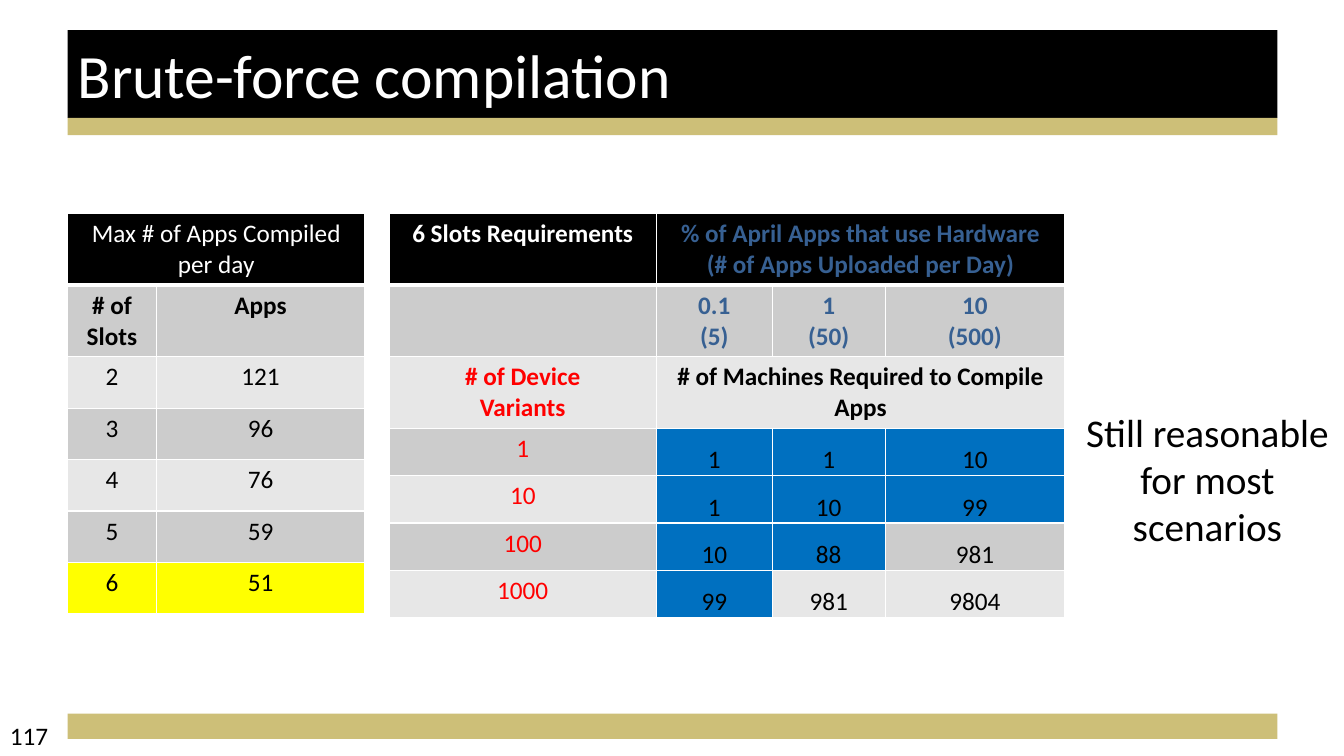
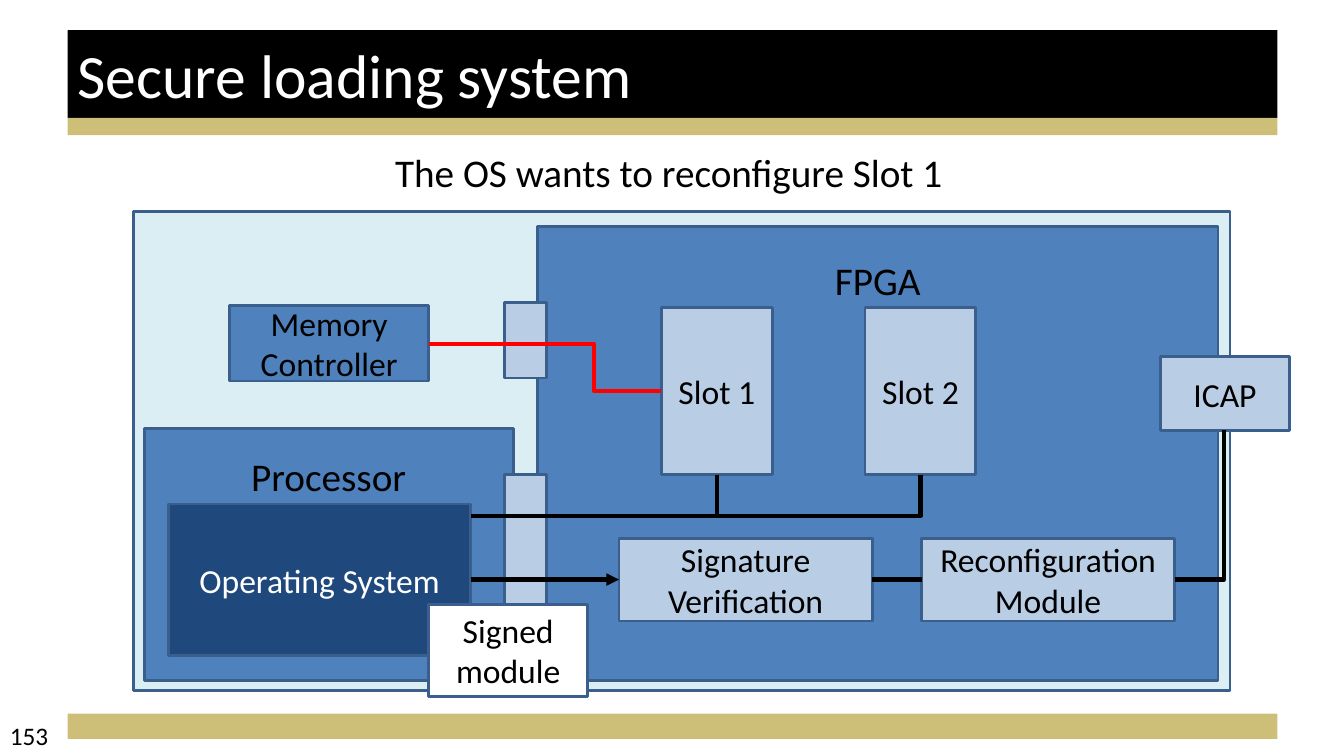
from lxml import etree
from pptx import Presentation
from pptx.dml.color import RGBColor
from pptx.enum import shapes as sh, text as tx
from pptx.oxml import ns
from pptx.util import Inches, Pt

# Shared look
FONT = "Calibri"
BLACK = RGBColor(0x00, 0x00, 0x00)
WHITE = RGBColor(0xFF, 0xFF, 0xFF)
GOLD = RGBColor(0xCD, 0xBF, 0x78)
GREY = RGBColor(0xCC, 0xCC, 0xCC)
PALE = RGBColor(0xE7, 0xE7, 0xE7)
RED = RGBColor(0xFF, 0x00, 0x00)
YELLOW = RGBColor(0xFF, 0xFF, 0x00)
INK = RGBColor(0x37, 0x60, 0x92)
CYAN = RGBColor(0x00, 0x70, 0xC0)
EDGE = RGBColor(0x3A, 0x5F, 0x8C)
ICE = RGBColor(0xDB, 0xEE, 0xF4)
BLUE = RGBColor(0x4F, 0x81, 0xBD)
LIGHT = RGBColor(0xB9, 0xCD, 0xE5)
NAVY = RGBColor(0x1F, 0x49, 0x7D)

LEFT, WIDE = 0.67, 12
MID, TOP, LOW = tx.MSO_ANCHOR.MIDDLE, tx.MSO_ANCHOR.TOP, tx.MSO_ANCHOR.BOTTOM
CENTER, START = tx.PP_ALIGN.CENTER, tx.PP_ALIGN.LEFT


def sub(node, tag, **attrs):
    return etree.SubElement(node, ns.qn(tag), **attrs)


def write(frame, words, size=18, color=BLACK, bold=False, align=CENTER):
    """Fill a text frame, one paragraph per line."""
    for i, line in enumerate(words.split("\n")):
        para = frame.paragraphs[0] if i == 0 else frame.add_paragraph()
        para.alignment = align
        run = para.add_run()
        run.text = line
        font = run.font
        font.name, font.size, font.bold = FONT, Pt(size), bold
        font.color.rgb = color


def box(slide, area, fill, words="", edge=EDGE, anchor=MID, inset=0.05, **style):
    """Draw a rectangle with an optional label."""
    item = slide.shapes.add_shape(sh.MSO_SHAPE.RECTANGLE, *map(Inches, area))
    item.shadow.inherit = False
    item.fill.solid()
    item.fill.fore_color.rgb = fill
    if edge is None:
        item.line.fill.background()
    else:
        item.line.color.rgb = edge
        item.line.width = Pt(2)
    if words:
        frame = item.text_frame
        frame.word_wrap = True
        frame.vertical_anchor = anchor
        frame.margin_top = Inches(inset)
        write(frame, words, **{"size": 24, **style})
    return item


def label(slide, area, words, **style):
    frame = slide.shapes.add_textbox(*map(Inches, area)).text_frame
    frame.word_wrap = True
    write(frame, words, **style)


def wire(slide, start, end, color=BLACK, kind=sh.MSO_CONNECTOR.STRAIGHT):
    line = slide.shapes.add_connector(kind, *map(Inches, start + end))
    line.line.color.rgb = color
    line.line.width = Pt(3)
    sub(line.element.spPr, "a:effectLst")
    return line


def elbow(slide, start, end, bend=1.0, color=BLACK):
    """Run level, turn at the given share of the width, run level again."""
    line = wire(slide, start, end, color, sh.MSO_CONNECTOR.ELBOW)
    shape = line.element.spPr.find(ns.qn("a:prstGeom"))
    list_ = shape.find(ns.qn("a:avLst"))
    if list_ is None:
        list_ = sub(shape, "a:avLst")
    sub(list_, "a:gd", name="adj1", fmla=f"val {round(bend * 100000)}")


def join(slide, one, two, arrow=False):
    """Link the right side of one box to the left side of another."""
    line = wire(slide, (0, 0), (1, 1))
    line.begin_connect(one, 3)
    line.end_connect(two, 1)
    if arrow:
        sub(line.line._get_or_add_ln(), "a:tailEnd", type="triangle")


def border(cell, head):
    props = cell._tc.get_or_add_tcPr()
    for side in "LRTB":
        width = Pt(3 if head and side == "B" else 1)
        line = sub(props, f"a:ln{side}", w=str(width))
        sub(sub(line, "a:solidFill"), "a:srgbClr", val=str(WHITE))


def grid(slide, spot, cols, rows, data, spans, style):
    """Build a table; style(row, col, words) gives what differs in a cell."""
    size = Inches(sum(cols)), Inches(sum(rows))
    table = slide.shapes.add_table(len(rows), len(cols), *map(Inches, spot), *size).table
    for col, width in zip(table.columns, cols):
        col.width = Inches(width)
    for row, height in zip(table.rows, rows):
        row.height = Inches(height)
    for r, line in enumerate(data):
        for c, words in enumerate(line):
            cell = table.cell(r, c)
            look = {"fill": BLACK if r == 0 else GREY if r % 2 else PALE}
            look.update(style(r, c, words))
            border(cell, r == 0)
            cell.fill.solid()
            cell.fill.fore_color.rgb = look.pop("fill")
            if look.pop("low", False):
                cell.vertical_anchor = LOW
                cell.margin_left = cell.margin_right = cell.margin_top = Inches(0.01)
                cell.margin_bottom = 0
            if words:
                write(cell.text_frame, words, **look)
    for r, c in spans:
        table.cell(r, c).merge(table.cell(r, len(cols) - 1))


def bands(prs, slide):
    """Put the bands on the master, behind everything else."""
    tree = prs.slide_master.shapes.element
    parts = [(7.08, 0.25, GOLD), (0.3, 0.87, BLACK), (1.17, 0.17, GOLD)]
    for i, (top, height, fill) in enumerate(parts):
        band = box(slide, (LEFT, top, WIDE, height), fill, edge=None)
        tree.insert(2 + i, band.element)


def page(prs, name, number):
    slide = prs.slides.add_slide(prs.slide_layouts[5])
    title = slide.shapes.title
    title.left, title.top, title.width, title.height = map(Inches, (LEFT, 0.3, WIDE, 0.87))
    title.text_frame.vertical_anchor = MID
    title.text_frame.auto_size = tx.MSO_AUTO_SIZE.NONE
    write(title.text_frame, name, size=44, color=WHITE, align=START)
    label(slide, (0, 7.1, 3.11, 0.4), number, align=START)
    return slide


def rates(r, c, words):
    """Style of the table of apps per day."""
    if r == 0:
        return {"color": WHITE}
    return {"fill": YELLOW} if r == 6 else {"bold": r == 1}


def needs(r, c, words):
    """Style of the table of machines; blue marks a count below 100."""
    if r < 3:
        color = (WHITE, BLACK, RED)[r] if c == 0 else (INK, INK, BLACK)[r]
        return {"bold": True, "color": color}
    if c == 0:
        return {"color": RED}
    few = {"fill": CYAN} if int(words) < 100 else {}
    return {"low": True, **few}


def compiling(slide):
    grid(slide, (3.86, 2.12), [2.65, 1.15, 1.12, 1.78], [0.71] * 3 + [0.47] * 4, [
        ["6 Slots Requirements",
         "% of April Apps that use Hardware\n(# of Apps Uploaded per Day)", "", ""],
        ["", "0.1\n(5)", "1\n(50)", "10\n(500)"],
        ["# of Device\nVariants", "# of Machines Required to Compile Apps", "", ""],
        ["1", "1", "1", "10"],
        ["10", "1", "10", "99"],
        ["100", "10", "88", "981"],
        ["1000", "99", "981", "9804"],
    ], [(0, 1), (2, 1)], needs)
    grid(slide, (LEFT, 2.12), [0.88, 2.07], [0.71] * 2 + [0.51] * 5, [
        ["Max # of Apps Compiled per day", ""],
        ["# of Slots", "Apps"],
        ["2", "121"], ["3", "96"], ["4", "76"], ["5", "59"], ["6", "51"],
    ], [(0, 0)], rates)
    label(slide, (10.64, 4, 2.67, 1.51), "Still reasonable for most scenarios", size=28)


def loading(slide):
    # Chip regions and the bridges between them
    box(slide, (1.32, 2.1, 10.88, 4.75), ICE)
    box(slide, (1.43, 4.25, 3.66, 2.5), BLUE, "Processor", anchor=TOP, inset=0.24, size=28)
    box(slide, (5.33, 2.25, 6.75, 4.5), BLUE, "FPGA", anchor=TOP, inset=0.29, size=28)
    for top, height in ((4.71, 1.67), (3, 0.75)):
        box(slide, (5, top, 0.42, height), LIGHT)

    # Blocks
    box(slide, (2.28, 3.03, 1.97, 0.75), BLUE, "Memory Controller")
    system = box(slide, (1.67, 5, 3, 1.5), NAVY, "Operating System", color=WHITE)
    check = box(slide, (6.14, 5.34, 2.51, 0.82), LIGHT, "Signature Verification")
    module = box(slide, (9.14, 5.34, 2.51, 0.82), LIGHT, "Reconfiguration Module")
    box(slide, (11.51, 3.54, 1.28, 0.73), LIGHT, "ICAP")

    # Slots, each wired to the operating system
    for name, left in (("Slot 1", 6.56), ("Slot 2", 8.58)):
        box(slide, (left, 3.05, 1.1, 1.66), LIGHT, name)
        elbow(slide, (4.67, 5.12), (left + 0.55, 4.71))

    # Other wires
    join(slide, system, check, arrow=True)
    join(slide, check, module)
    elbow(slide, (11.65, 5.75), (12.14, 4.27))
    elbow(slide, (4.25, 3.41), (6.56, 3.88), bend=0.71, color=RED)

    box(slide, (4.25, 6, 1.58, 0.91), WHITE, "Signed module", anchor=TOP)
    label(slide, (3.82, 1.42, 5.7, 0.57), "The OS wants to reconfigure Slot 1",
          size=28, align=START)


def main():
    prs = Presentation()
    prs.slide_width, prs.slide_height = Inches(13.33), Inches(7.5)
    first = page(prs, "Brute-force compilation", "117")
    bands(prs, first)
    compiling(first)
    loading(page(prs, "Secure loading system", "153"))
    prs.save("out.pptx")


if __name__ == "__main__":
    main()
